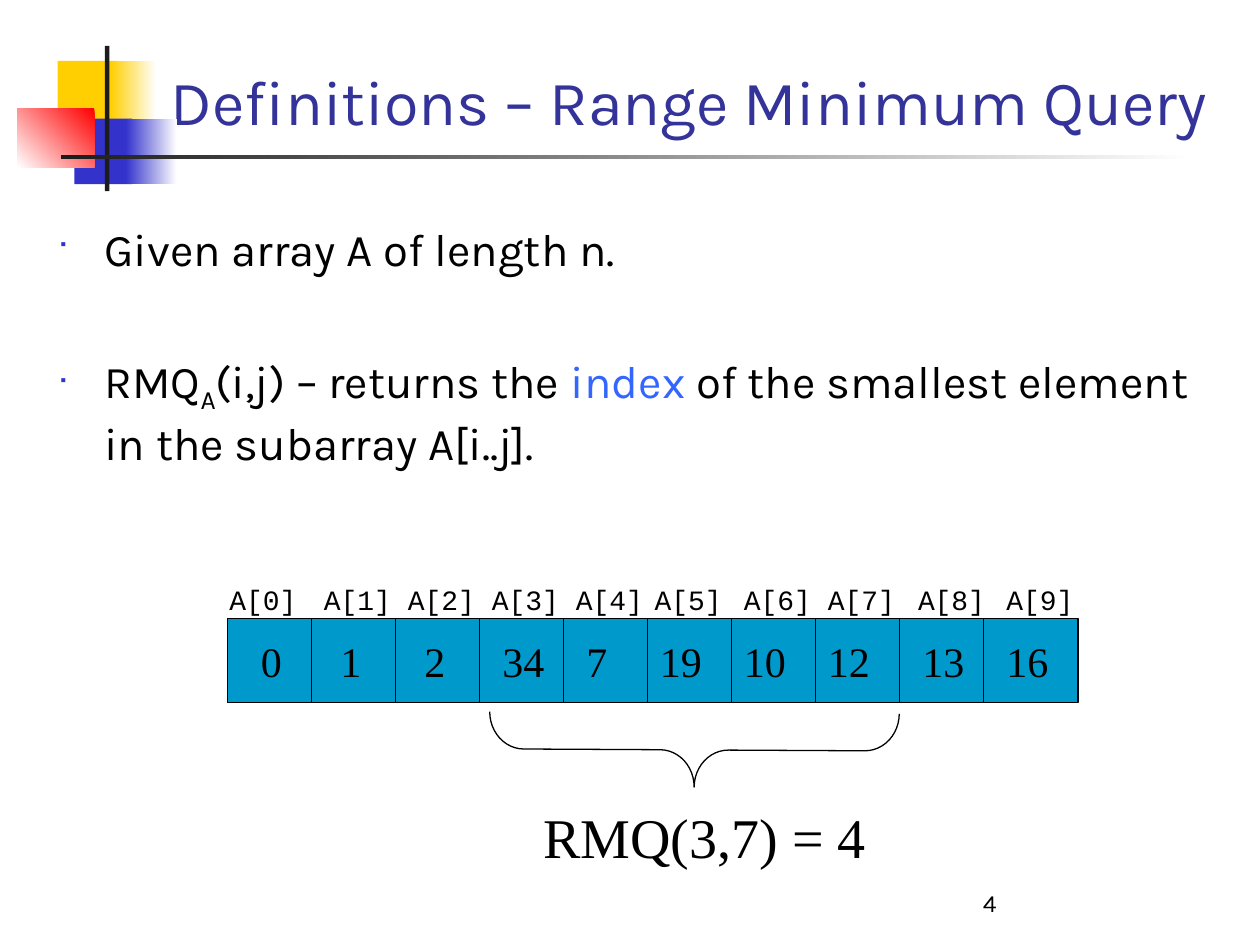
import pptx
import pptx.util
import pptx.dml.color
import pptx.enum.shapes
import pptx.enum.text
import lxml.etree

Pt = pptx.util.Pt
SHAPE = pptx.enum.shapes.MSO_SHAPE
ALIGN = pptx.enum.text.PP_ALIGN
ANCHOR = pptx.enum.text.MSO_ANCHOR
SANS, SERIF, MONO = "Karla", "Times New Roman", "Courier New"

TITLE = "Definitions \u2013 Range Minimum Query"
# (space before, runs); a run is its text and any special format
POINTS = [
    (6.5, [("Given array A of length n.", {})]),
    (44.5, [("RMQ", {}), ("A", {"base": -25}),
            ("(i,j) \u2013 returns the ", {}), ("index", {"color": "3366FF"}),
            (" of the smallest element in the subarray A[i..j].", {})]),
]
# (value, shift of value in its cell, shift of index label)
ITEMS = [(0, 12, -6), (1, 9.5, 0), (2, 9.5, 0), (34, 6, 0), (7, 6, 0),
         (19, 0, -3), (10, 0, 0), (12, 0, 0), (13, 6, 3.5), (16, 6, 6)]
# (left, top, width, height, colours, gradient angle)
DECOR = [
    (33, 34.75, 34.5, 37.5, ["FFCF01"], 0),
    (63.25, 34.75, 26, 37.5, ["FFCF01", "FFFFFF"], 0),
    (42.5, 67.75, 33, 37.5, ["3333CC"], 0),
    (72, 67.75, 29, 37.5, ["3333CC", "FFFFFF"], 0),
    (10, 62, 44, 33.5, ["FF0000", "FFFFFF"], 225),
    (60, 26.25, 2.5, 83, ["1C1C1C"], 0),
    (34.75, 88.5, 648, 2.25, ["1C1C1C", "FFFFFF"], 0),
]
LEFT, TOP, CELL, WIDE, HIGH = 130, 353.5, 48, 486, 48


def rgb(code):
    """Turn a hex string into a colour."""
    return pptx.dml.color.RGBColor.from_string(code)


def write(para, text, size=24, face=SERIF, color="000000", base=0):
    """Add a formatted run to a paragraph."""
    run = para.add_run()
    run.text = text
    run.font.size, run.font.name = Pt(size), face
    run.font.color.rgb = rgb(color)
    if base:
        run.font._element.set("baseline", str(base * 1000))


def box(left, top, width, height, wrap=False, anchor=ANCHOR.TOP):
    """Add a text box and return its frame."""
    frame = slide.shapes.add_textbox(
        Pt(left), Pt(top), Pt(width), Pt(height)).text_frame
    frame.word_wrap, frame.vertical_anchor = wrap, anchor
    return frame


def block(kind, left, top, width, height, fills=(), angle=0, line=None):
    """Add a shape with no fill, one colour or a gradient."""
    shape = slide.shapes.add_shape(kind, Pt(left), Pt(top), Pt(width), Pt(height))
    shape.shadow.inherit = False
    if len(fills) == 2:
        shape.fill.gradient()
        shape.fill.gradient_angle = angle
        for stop, code in zip(shape.fill.gradient_stops, fills):
            stop.color.rgb = rgb(code)
    elif fills:
        shape.fill.solid()
        shape.fill.fore_color.rgb = rgb(fills[0])
    else:
        shape.fill.background()
    if line:
        shape.line.color.rgb, shape.line.width = rgb(line), Pt(0.74)
    else:
        shape.line.fill.background()
    return shape


def rule(x, top, end):
    """Add a thin upright line."""
    line = slide.shapes.add_connector(
        pptx.enum.shapes.MSO_CONNECTOR.STRAIGHT, Pt(x), Pt(top), Pt(x), Pt(end))
    line.line.color.rgb, line.line.width = rgb("000000"), Pt(0.74)
    lxml.etree.SubElement(line._element.spPr, pptx.oxml.ns.qn("a:effectLst"))


def bullet(para):
    """Give a paragraph a hanging square bullet."""
    props = para._p.get_or_add_pPr()
    props.set("marL", str(Pt(27)))
    props.set("indent", str(Pt(-27)))
    tint = lxml.etree.SubElement(props, pptx.oxml.ns.qn("a:buClr"))
    lxml.etree.SubElement(tint, pptx.oxml.ns.qn("a:srgbClr"), val="3333CC")
    lxml.etree.SubElement(props, pptx.oxml.ns.qn("a:buSzPct"), val="60000")
    lxml.etree.SubElement(props, pptx.oxml.ns.qn("a:buFont"), typeface="Wingdings")
    lxml.etree.SubElement(props, pptx.oxml.ns.qn("a:buChar"), char="\u25a0")


deck = pptx.Presentation()
deck.slide_width, deck.slide_height = Pt(720), Pt(540)
slide = deck.slides.add_slide(deck.slide_layouts[5])

for left, top, width, height, fills, angle in DECOR:
    block(SHAPE.RECTANGLE, left, top, width, height, fills, angle)

title = slide.shapes.title
title.left, title.top, title.width, title.height = Pt(90.5), Pt(16.5), Pt(613.5), Pt(66)
title.text_frame.vertical_anchor = ANCHOR.BOTTOM
title.text_frame.auto_size = pptx.enum.text.MSO_AUTO_SIZE.NONE
head = title.text_frame.paragraphs[0]
head.alignment = ALIGN.LEFT
write(head, TITLE, size=36, face=SANS, color="333399")

body = box(25.5, 122.5, 680, 209.5, wrap=True)
for spot, (space, runs) in enumerate(POINTS):
    para = body.add_paragraph() if spot else body.paragraphs[0]
    para.space_before = Pt(space)
    bullet(para)
    for text, form in runs:
        write(para, text, size=26, face=SANS, **form)

block(SHAPE.RECTANGLE, LEFT, TOP, WIDE, HIGH, ["0099CC"], line="000000")
for spot, (value, shift, nudge) in enumerate(ITEMS):
    x = LEFT + CELL * spot
    if spot:
        rule(x, TOP, TOP + HIGH)
    write(box(x + shift, 359.5, 42, 36, wrap=True).paragraphs[0], str(value))
    write(box(x + nudge, 329.25, 54, 26.5, wrap=True).paragraphs[0],
          f"A[{spot}]", size=16, face=MONO)

brace = block(SHAPE.LEFT_BRACE, 375.5, 311.5, 42.5, 234, line="000000")
brace.rotation = 270.3
brace.adjustments[0] = 0.46

answer = box(303.25, 455.25, 199, 46).paragraphs[0]
answer.alignment = ALIGN.CENTER
write(answer, "RMQ(3,7) = 4", size=32)
write(box(554.5, 491.75, 150, 36, wrap=True, anchor=ANCHOR.BOTTOM).paragraphs[0],
      "4", size=14, face=SANS)

deck.save("out.pptx")
